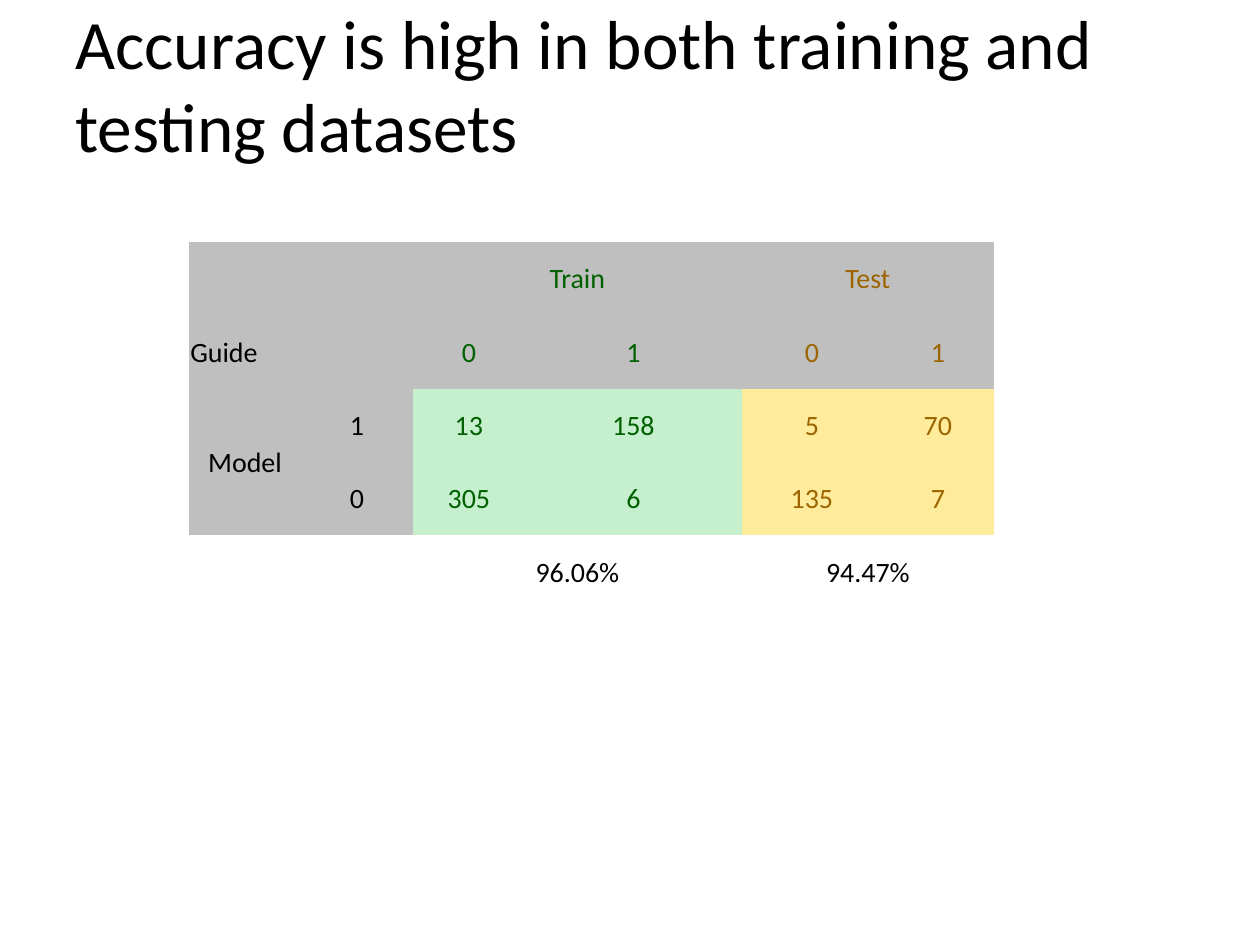
from pptx import Presentation, util as u
from pptx.dml import color
from pptx.enum import text

Pt = u.Pt
THEME = {
    "font": "Calibri", "title_size": 39.6, "cell_size": 16,
    "black": "000000", "green": "006100", "brown": "9C6500",
    "header": "BFBFBF", "train": "C6EFCE", "test": "FFEB9C",
}
NO_STYLE = "{2D5ABB26-0587-4C30-8999-92F81FD0307C}"


def style_text(paragraph, size, ink):
    for run in paragraph.runs:
        run.font.name = THEME["font"]
        run.font.size = Pt(THEME[size])
        run.font.color.rgb = color.RGBColor.from_string(THEME[ink])


presentation = Presentation()
presentation.slide_width, presentation.slide_height = Pt(720), Pt(540)
slide = presentation.slides.add_slide(presentation.slide_layouts[6])

title = slide.shapes.add_textbox(Pt(36), Pt(5.76), Pt(648), Pt(83.5))
title.text_frame.word_wrap = True
title.text_frame.vertical_anchor = text.MSO_ANCHOR.MIDDLE
title.text_frame.text = "Accuracy is high in both training and testing datasets"
style_text(title.text_frame.paragraphs[0], "title_size", "black")

rows = [
    ["", "", "Train", "", "Test", ""],
    ["Guide", "", "0", "1", "0", "1"],
    ["Model", "1", "13", "158", "5", "70"],
    ["", "0", "305", "6", "135", "7"],
    ["", "", "96.06%", "", "94.47%", ""],
]
column_widths = [64, 64, 64, 124, 80, 64]
row_height = 41.9
column_inks = ["black"] * 2 + ["green"] * 2 + ["brown"] * 2
column_fills = ["header"] * 2 + ["train"] * 2 + ["test"] * 2
merges = [(0, 0, 0, 1), (0, 2, 0, 3), (0, 4, 0, 5),
          (2, 0, 3, 0), (4, 2, 4, 3), (4, 4, 4, 5)]

frame = slide.shapes.add_table(len(rows), len(column_widths), Pt(108), Pt(138.24),
                               Pt(sum(column_widths)), Pt(row_height * len(rows)))
table = frame.table
table.first_row = table.horz_banding = False
table._tbl.tblPr[0].text = NO_STYLE
for column, width in zip(table.columns, column_widths):
    column.width = Pt(width)

for row_index, values in enumerate(rows):
    table.rows[row_index].height = Pt(row_height)
    is_total = row_index == len(rows) - 1
    for column_index, value in enumerate(values):
        cell = table.cell(row_index, column_index)
        cell.vertical_anchor = text.MSO_ANCHOR.MIDDLE
        cell.margin_left = cell.margin_right = cell.margin_top = Pt(0.75)
        cell.margin_bottom = 0
        if is_total:
            cell.fill.background()
        else:
            fill = "header" if row_index < 2 else column_fills[column_index]
            cell.fill.solid()
            cell.fill.fore_color.rgb = color.RGBColor.from_string(THEME[fill])
        if value:
            cell.text_frame.text = value
            paragraph = cell.text_frame.paragraphs[0]
            paragraph.alignment = text.PP_ALIGN.LEFT if value == "Guide" else text.PP_ALIGN.CENTER
            style_text(paragraph, "cell_size", "black" if is_total else column_inks[column_index])

for top, left, bottom, right in merges:
    table.cell(top, left).merge(table.cell(bottom, right))

presentation.save("out.pptx")
